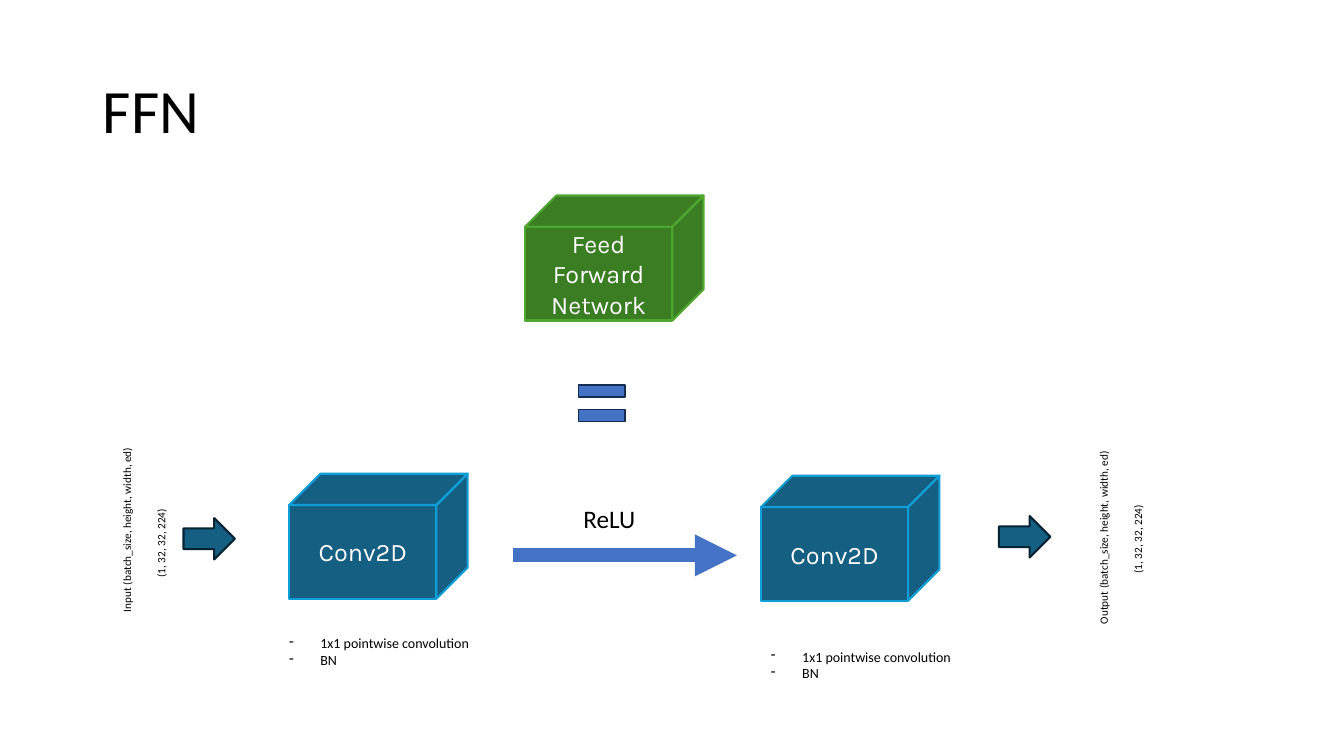
from lxml import etree
from pptx import Presentation, util as u
from pptx.dml.color import RGBColor
from pptx.enum import shapes, text
from pptx.oxml.ns import qn

# The grid has square cells, a tenth of an inch wide
CELL = u.Inches(0.1)
COLUMNS, ROWS = 133.33, 75
COLORS = {"black": "000000", "white": "FFFFFF", "green": "3B7D23",
          "green edge": "4EA72E", "teal": "156082", "teal edge": "0F9ED5",
          "dark teal": "042433", "blue": "4472C4", "navy": "172C51"}
CUBE_WIDTH, CUBE_HEIGHT, CUBE_DEPTH = 17.7, 12.4, 3.1


def cells(*counts):
    return [u.Emu(round(count * CELL)) for count in counts]


def color(name):
    return RGBColor.from_string(COLORS[name])


def paint(shape, fill, edge, weight):
    shape.shadow.inherit = False
    shape.fill.solid()
    shape.fill.fore_color.rgb = color(fill)
    shape.line.color.rgb = color(edge)
    shape.line.width = u.Pt(weight)


def style(para, size, ink="black", face="Calibri", align=text.PP_ALIGN.LEFT):
    para.alignment = align
    for span in para.runs:
        span.font.size = u.Pt(size)
        span.font.name = face
        span.font.color.rgb = color(ink)


def add_title(page, words):
    title = page.shapes.title
    title.left, title.top, title.width, title.height = cells(9.2, 4, 115, 14.5)
    title.text_frame.text = words
    title.text_frame.vertical_anchor = text.MSO_ANCHOR.MIDDLE
    para = title.text_frame.paragraphs[0]
    para.line_spacing = 0.9
    style(para, 44)


def add_cube(page, left, top, words, fill, edge):
    right, bottom = left + CUBE_WIDTH, top + CUBE_HEIGHT
    fold_x, fold_y = right - CUBE_DEPTH, top + CUBE_DEPTH
    back_x, back_y = left + CUBE_DEPTH, bottom - CUBE_DEPTH
    front = [(left, fold_y), (fold_x, fold_y), (fold_x, bottom), (left, bottom)]
    side = [(fold_x, fold_y), (right, top), (right, back_y), (fold_x, bottom)]
    lid = [(left, fold_y), (back_x, top), (right, top), (fold_x, fold_y)]

    builder = page.shapes.build_freeform(*cells(*front[0]))
    for face in (front, side, lid):
        if face is not front:
            builder.move_to(*cells(*face[0]))
        builder.add_line_segments([cells(*point) for point in face[1:]])
    cube = builder.convert_to_shape()
    paint(cube, fill, edge, 1.5)

    # Keep the label on the front face
    frame = cube.text_frame
    frame.word_wrap = True
    frame.vertical_anchor = text.MSO_ANCHOR.MIDDLE
    frame.margin_right, frame.margin_top = cells(CUBE_DEPTH + 1, CUBE_DEPTH + 0.5)
    frame.text = words
    style(frame.paragraphs[0], 18, "white", "Karla", text.PP_ALIGN.CENTER)


def add_preset(page, kind, place, fill, edge, weight):
    shape = page.shapes.add_shape(kind, *cells(*place))
    paint(shape, fill, edge, weight)


def add_label(page, place, lines, size, turn=0, align=text.PP_ALIGN.LEFT,
              bullet=None):
    box = page.shapes.add_textbox(*cells(*place))
    box.rotation = turn
    frame = box.text_frame
    frame.word_wrap = True
    frame.text = "\n".join(lines)
    for para in frame.paragraphs:
        if bullet:
            props = para._p.get_or_add_pPr()
            indent = cells(3.1)[0]
            props.set("marL", str(indent))
            props.set("indent", str(-indent))
            etree.SubElement(props, qn("a:buChar")).set("char", bullet)
        style(para, size, align=align)


def add_arrow(page, start, end, weight):
    arrow = page.shapes.add_connector(
        shapes.MSO_CONNECTOR.STRAIGHT, *cells(*start, *end))
    arrow.line.color.rgb = color("blue")
    arrow.line.width = u.Pt(weight)
    line = arrow.line._get_or_add_ln()
    etree.SubElement(line, qn("a:tailEnd")).set("type", "triangle")
    etree.SubElement(arrow._element.spPr, qn("a:effectLst"))


def main():
    deck = Presentation()
    deck.slide_width, deck.slide_height = cells(COLUMNS, ROWS)
    page = deck.slides.add_slide(deck.slide_layouts[5])
    add_title(page, "FFN")

    # The whole network, and the equals sign below it
    add_cube(page, 52.1, 19.4, "Feed Forward Network", "green", "green edge")
    for top in (38.2, 40.6):
        add_preset(page, shapes.MSO_SHAPE.RECTANGLE, (57.4, top, 4.6, 1.2),
                   "blue", "navy", 1)

    # The two convolutions with their notes
    for left, top, note_left, note_top in ((28.7, 47, 27.7, 62.5),
                                           (75.5, 47.2, 75.5, 63.8)):
        add_cube(page, left, top, "Conv2D", "teal", "teal edge")
        add_label(page, (note_left, note_top, 22.2, 4.4),
                  ["1x1 pointwise convolution", "BN"], 10, bullet="-")

    # The activation between them
    add_arrow(page, (50.9, 55.1), (73.1, 55.1), 10)
    add_label(page, (56.9, 49.4, 8.3, 4), ["ReLU"], 18)

    # Input and output: block arrow, upright name and upright shape
    ends = (
        ("Input", (18.2, 51.4), (3.1, 51, 19, 2.4), (11.5, 52.7)),
        ("Output", (99.1, 51.2), (99.4, 51.6, 20.2, 2.4), (108.4, 52.3)),
    )
    for name, arrow, name_place, size_place in ends:
        add_preset(page, shapes.MSO_SHAPE.RIGHT_ARROW, (*arrow, 5.1, 4.1),
                   "teal", "dark teal", 1.5)
        add_label(page, name_place, [f"{name} (batch_size, height, width, ed)"],
                  8, turn=270)
        add_label(page, (*size_place, 9, 2.4), ["(1, 32, 32, 224)"], 8,
                  turn=270, align=text.PP_ALIGN.CENTER)

    deck.save("out.pptx")


if __name__ == "__main__":
    main()
